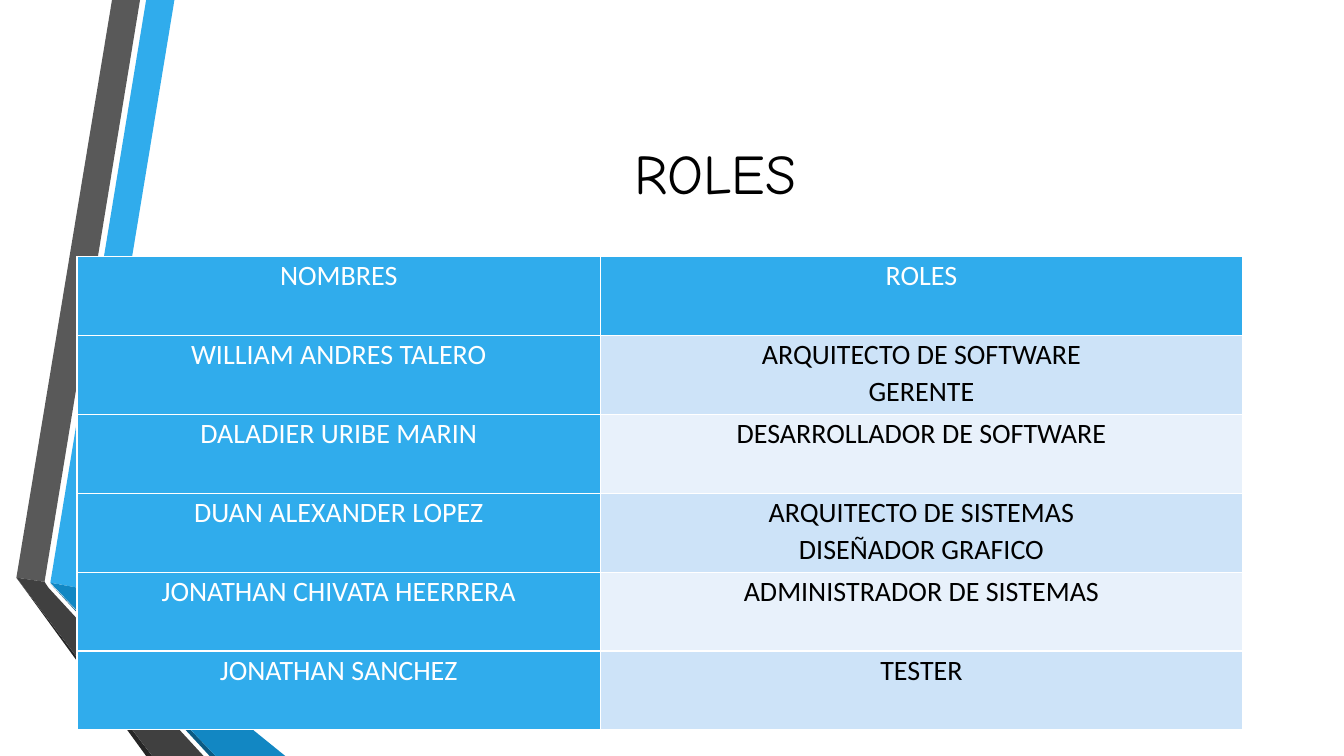
from lxml import etree
from pptx import Presentation
from pptx.dml.color import RGBColor
from pptx.enum.text import MSO_ANCHOR, PP_ALIGN
from pptx.oxml.ns import qn
from pptx.util import Pt

WHITE, BLACK, BLUE = "FFFFFF", "000000", "30ACEC"
BANDS = ["CDE3F8", "E8F1FB"]

# Ribbon pieces from back to front: colour and corner points
RIBBONS = [
    (BLUE, [(36, 416.2), (55.4, 419.8), (124.6, 0), (104.4, 0)]),
    ("595959", [(100, 0), (80, 0), (11.7, 412.6), (31.8, 415.6)]),
    ("262626", [(11.7, 412.6), (104.4, 540), (108.7, 540)]),
    ("0C5A82", [(36, 416.9), (149.8, 540), (154.1, 540)]),
    ("1287C3", [(36, 416.2), (154.1, 540), (203.8, 540), (55.4, 419.8)]),
    ("404040", [(145.4, 540), (34.6, 419.8), (31.8, 415.6),
                (11.7, 412.6), (108.7, 540)]),
]

ROLES = [
    ("NOMBRES", ["ROLES"]),
    ("WILLIAM ANDRES TALERO", ["ARQUITECTO DE SOFTWARE", "GERENTE"]),
    ("DALADIER URIBE MARIN", ["DESARROLLADOR DE SOFTWARE"]),
    ("DUAN ALEXANDER LOPEZ", ["ARQUITECTO DE SISTEMAS", "DISEÑADOR GRAFICO"]),
    ("JONATHAN CHIVATA HEERRERA", ["ADMINISTRADOR DE SISTEMAS"]),
    ("JONATHAN SANCHEZ", ["TESTER"]),
]


def rgb(hex_string):
    """Turn a hex string into a colour."""
    return RGBColor.from_string(hex_string)


class SlideBuilder:
    """Holds the text style and the current slide."""

    title_font, title_size = "Comic Neue", 40
    body_font, body_size = "Calibri", 20
    line_spacing = 1.07

    def __init__(self, slide):
        """Keep the slide to draw on."""
        self.slide = slide

    def polygon(self, points, color):
        """Draw a filled closed outline."""
        corners = [(Pt(x), Pt(y)) for x, y in points]
        builder = self.slide.shapes.build_freeform(*corners[0])
        builder.add_line_segments(corners[1:], close=True)
        shape = builder.convert_to_shape()
        shape.shadow.inherit = False
        shape.fill.solid()
        shape.fill.fore_color.rgb = rgb(color)
        shape.line.fill.background()

    def text_lines(self, frame, lines, font, size, color, spacing=1.0):
        """Fill a text frame with centred lines."""
        for i, line in enumerate(lines):
            paragraph = frame.paragraphs[0] if i == 0 else frame.add_paragraph()
            paragraph.alignment = PP_ALIGN.CENTER
            paragraph.line_spacing = spacing
            run = paragraph.add_run()
            run.text = line
            run.font.name, run.font.size = font, Pt(size)
            run.font.color.rgb = rgb(color)

    def title(self, text, left, top, width, height):
        """Add the centred title."""
        box = self.slide.shapes.add_textbox(Pt(left), Pt(top), Pt(width), Pt(height))
        frame = box.text_frame
        frame.word_wrap = True
        frame.vertical_anchor = MSO_ANCHOR.MIDDLE
        self.text_lines(frame, [text], self.title_font, self.title_size, BLACK)

    def borders(self, cell, color, width):
        """Draw all four borders of a table cell."""
        properties = cell._tc.get_or_add_tcPr()
        for position, side in enumerate(("lnL", "lnR", "lnT", "lnB")):
            line = etree.Element(qn("a:" + side), w=str(Pt(width)))
            fill = etree.SubElement(line, qn("a:solidFill"))
            etree.SubElement(fill, qn("a:srgbClr"), val=color)
            properties.insert(position, line)

    def cell(self, cell, lines, fill, color):
        """Style and fill one table cell."""
        cell.fill.solid()
        cell.fill.fore_color.rgb = rgb(fill)
        cell.margin_left = cell.margin_right = Pt(5)
        cell.margin_top = cell.margin_bottom = 0
        self.borders(cell, WHITE, 1)
        self.text_lines(cell.text_frame, lines, self.body_font, self.body_size,
                        color, self.line_spacing)

    def table(self, rows, left, top, widths, row_height):
        """Add the table of names and roles."""
        frame = self.slide.shapes.add_table(
            len(rows), len(widths), Pt(left), Pt(top),
            Pt(sum(widths)), Pt(row_height * len(rows)))
        table = frame.table
        for column, width in zip(table.columns, widths):
            column.width = Pt(width)
        for i, (name, roles) in enumerate(rows):
            table.rows[i].height = Pt(row_height)
            fill, color = (BANDS[(i - 1) % 2], BLACK) if i else (BLUE, WHITE)
            self.cell(table.cell(i, 0), [name], BLUE, WHITE)
            self.cell(table.cell(i, 1), roles, fill, color)


def main():
    """Build and save the roles slide."""
    deck = Presentation()
    deck.slide_width, deck.slide_height = Pt(960), Pt(540)
    builder = SlideBuilder(deck.slides.add_slide(deck.slide_layouts[6]))
    for color, points in RIBBONS:
        builder.polygon(points, color)
    builder.title("ROLES", 116.6, 54, 789, 138.2)
    builder.table(ROLES, 55, 183.5, [374, 458.5], 56.3)
    deck.save("out.pptx")


main()
